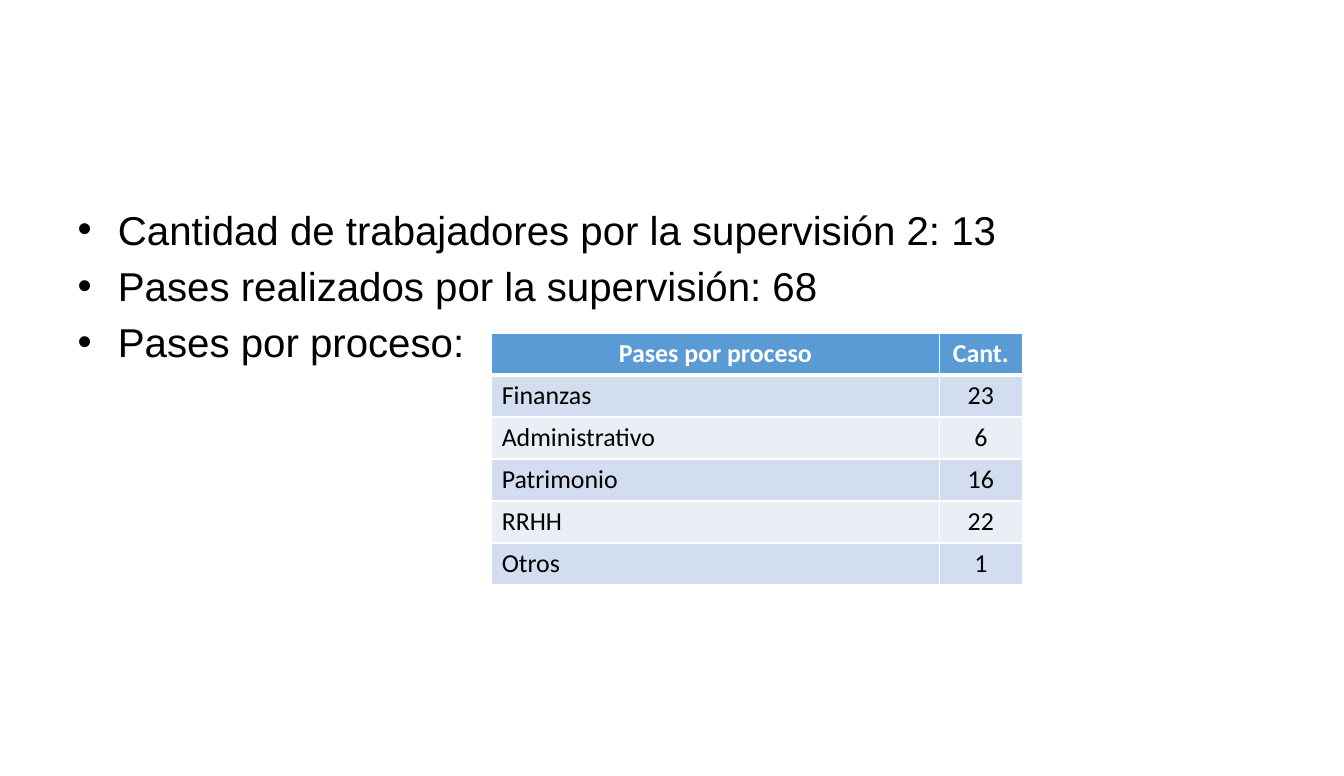
from lxml.etree import SubElement
from pptx import Presentation
from pptx.dml.color import RGBColor
from pptx.enum.text import MSO_ANCHOR, MSO_AUTO_SIZE, PP_ALIGN as Align
from pptx.oxml.ns import qn
from pptx.util import Inches, Pt

# Content
BULLETS = [
    "Cantidad de trabajadores por la supervisión 2: 13",
    "Pases realizados por la supervisión: 68",
    "Pases por proceso:",
]
PASSES = [
    ("Pases por proceso", "Cant."),
    ("Finanzas", "23"),
    ("Administrativo", "6"),
    ("Patrimonio", "16"),
    ("RRHH", "22"),
    ("Otros", "1"),
]

# Layout in inches
SLIDE_SIZE = (12.99, 7.5)
BODY_BOX = (0.65, 1.93, 11.69, 5)
BULLET_INDENT = 0.39
TABLE_LEFT, TABLE_TOP = 4.75, 3.22
COLUMN_WIDTHS = (4.33, 0.8)
TABLE_HEIGHT = 2.43

BLACK = RGBColor(0x00, 0x00, 0x00)
WHITE = RGBColor(0xFF, 0xFF, 0xFF)
HEADER_BLUE = RGBColor(0x5B, 0x9B, 0xD5)
BANDS = (RGBColor(0xEA, 0xEF, 0xF7), RGBColor(0xD2, 0xDE, 0xEF))


def write(paragraph, text, font="Calibri", size=18, color=BLACK, bold=False, align=None):
    paragraph.alignment = align
    run = paragraph.add_run()
    run.text = text
    run.font.name = font
    run.font.size = Pt(size)
    run.font.bold = bold
    run.font.color.rgb = color


def add_borders(cell, **widths):
    """Draw white borders; call before the fill so the XML order holds."""
    properties = cell._tc.get_or_add_tcPr()
    for side in "LRTB":
        line = SubElement(properties, qn(f"a:ln{side}"), w=str(Pt(widths.get(side, 1))))
        fill = SubElement(line, qn("a:solidFill"))
        SubElement(fill, qn("a:srgbClr"), val=str(WHITE))


presentation = Presentation()
presentation.slide_width, presentation.slide_height = map(Inches, SLIDE_SIZE)
slide = presentation.slides.add_slide(presentation.slide_layouts[1])
title = slide.shapes.title
title.element.getparent().remove(title.element)

# Bulleted list
body = slide.placeholders[1]
body.left, body.top, body.width, body.height = map(Inches, BODY_BOX)
frame = body.text_frame
frame.word_wrap = True
frame.auto_size = MSO_AUTO_SIZE.NONE
frame.vertical_anchor = MSO_ANCHOR.TOP
for index, text in enumerate(BULLETS):
    paragraph = frame.add_paragraph() if index else frame.paragraphs[0]
    write(paragraph, text, font="Arial", size=28)
    properties = paragraph._p.get_or_add_pPr()
    properties.set("marL", str(Inches(BULLET_INDENT)))
    properties.set("indent", str(-Inches(BULLET_INDENT)))

# Table of passes
table = slide.shapes.add_table(
    len(PASSES), len(COLUMN_WIDTHS), Inches(TABLE_LEFT), Inches(TABLE_TOP),
    Inches(sum(COLUMN_WIDTHS)), Inches(TABLE_HEIGHT)).table
for column, width in zip(table.columns, COLUMN_WIDTHS):
    column.width = Inches(width)
for row, values in enumerate(PASSES):
    header = row == 0
    for column, text in enumerate(values):
        cell = table.cell(row, column)
        add_borders(cell, B=3 if header else 1, T=3 if row == 1 else 1)
        cell.fill.solid()
        cell.fill.fore_color.rgb = HEADER_BLUE if header else BANDS[row % 2]
        write(cell.text_frame.paragraphs[0], text, bold=header,
              color=WHITE if header else BLACK,
              align=Align.CENTER if header or column else Align.LEFT)

presentation.save("out.pptx")
